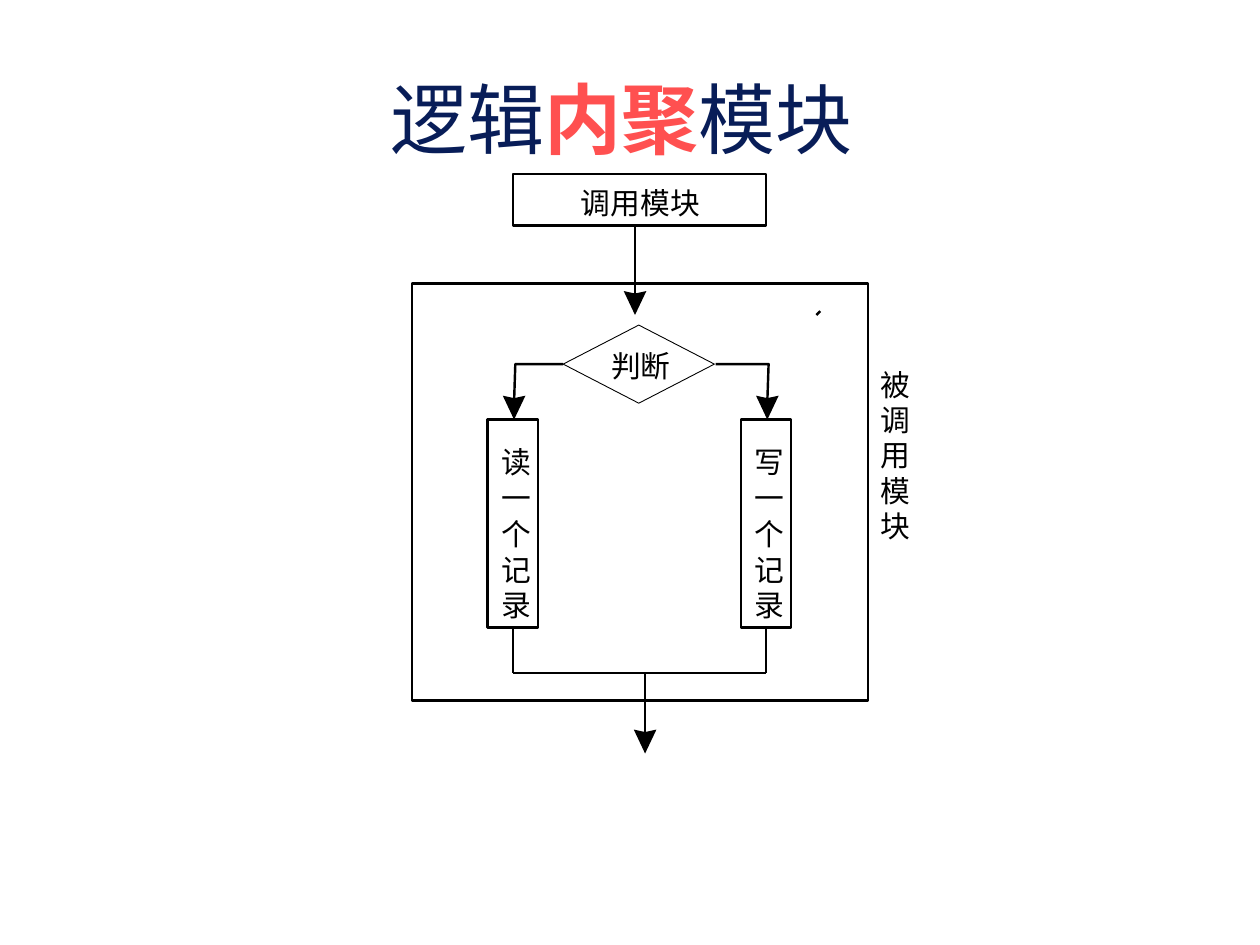
import pptx
import pptx.util
import pptx.dml.color
import pptx.enum.shapes
import pptx.enum.text
import pptx.oxml.ns
import lxml.etree

Pt = pptx.util.Pt
KIND = pptx.enum.shapes.MSO_SHAPE
FONT = "Noto Sans CJK SC"
HUES = {
    name: pptx.dml.color.RGBColor.from_string(code)
    for name, code in {
        "ink": "000000", "paper": "FFFFFF", "navy": "081D58", "red": "FF5050",
    }.items()
}

deck = pptx.Presentation()
deck.slide_width = pptx.util.Inches(10)
deck.slide_height = pptx.util.Inches(7.5)
slide = deck.slides.add_slide(deck.slide_layouts[6])
shapes = slide.shapes
unit = deck.slide_width // 10  # square grid, 10 columns by 7.5 rows


def grid(*nums):
    return [round(n * unit) for n in nums]


def write(place, runs, size, pitch=None, centre=False):
    box = shapes.add_textbox(*grid(*place))
    frame = box.text_frame
    frame.word_wrap = True
    frame.margin_left = frame.margin_right = 0
    frame.margin_top = frame.margin_bottom = 0
    para = frame.paragraphs[0]
    if centre:
        frame.vertical_anchor = pptx.enum.text.MSO_ANCHOR.MIDDLE
        para.alignment = pptx.enum.text.PP_ALIGN.CENTER
    if pitch:
        para.line_spacing = Pt(pitch)
    for text, hue, bold in runs:
        run = para.add_run()
        run.text = text
        run.font.size = Pt(size)
        run.font.bold = bold
        run.font.name = FONT
        east = lxml.etree.SubElement(run.font._element, pptx.oxml.ns.qn("a:ea"))
        east.set("typeface", FONT)
        run.font.color.rgb = HUES[hue]


# Title
write((0.75, 0.31, 8.5, 1.25),
      [("逻辑", "navy", False), ("内聚", "red", True), ("模块 ", "navy", False)],
      44, centre=True)

# Boxes, the choice and the frame of the called module
parts = {}
for name, kind, place, fill, width in [
    ("choice", KIND.DIAMOND, (4.47, 2.58, 1.2, 0.62), False, 0.5),
    ("caller", KIND.RECTANGLE, (4.07, 1.38, 2.01, 0.41), True, 1.39),
    ("read", KIND.RECTANGLE, (3.87, 3.33, 0.4, 1.65), True, 1.39),
    ("write", KIND.RECTANGLE, (5.88, 3.33, 0.4, 1.65), True, 1.39),
    ("called", KIND.RECTANGLE, (3.27, 2.25, 3.62, 3.31), False, 1.39),
]:
    part = shapes.add_shape(kind, *grid(*place))
    part.shadow.inherit = False
    if fill:
        part.fill.solid()
        part.fill.fore_color.rgb = HUES["paper"]
    else:
        part.fill.background()
    part.line.color.rgb = HUES["ink"]
    part.line.width = Pt(width)
    parts[name] = part

# Labels across
write((4.85, 2.76, 0.5, 0.28), [("判断", "ink", False)], 17)
write((4.61, 1.47, 1, 0.28), [("调用模块", "ink", False)], 17)

# Labels down: one character wide, so that each wraps to its own line
for text, left, top, pitch in [
    ("读一个记录", 3.98, 3.52, 20.5),
    ("写一个记录", 5.99, 3.52, 20.5),
    ("被调用模块", 6.99, 2.91, 20.2),
]:
    write((left, top, 0.26, 1.45), [(text, "ink", False)], 17, pitch)

# Straight lines; a name marks the box whose bottom side the line leaves
for name, x1, y1, x2, y2 in [
    (None, 5.04, 1.79, 5.04, 2.36),
    (None, 6.48, 2.5, 6.51, 2.47),
    ("read", 4.07, 4.98, 4.07, 5.34),
    ("write", 6.08, 4.98, 6.08, 5.34),
    (None, 4.07, 5.34, 6.08, 5.34),
    (None, 5.12, 5.34, 5.12, 5.83),
]:
    line = shapes.add_connector(
        pptx.enum.shapes.MSO_CONNECTOR.STRAIGHT, *grid(x1, y1, x2, y2))
    if name:
        line.begin_connect(parts[name], 2)
    line.line.color.rgb = HUES["ink"]
    line.line.width = Pt(1.39)
    lxml.etree.SubElement(line._element.spPr, pptx.oxml.ns.qn("a:effectLst"))

# Bent arms from the choice, then notched arrowheads given by their tips
arms = [
    [(4.47, 2.89), (4.09, 2.89), (4.08, 3.19)],
    [(5.68, 2.89), (6.1, 2.89), (6.09, 3.19)],
]
heads = [
    [(x, y), (x - 0.09, y - 0.19), (x, y - 0.17), (x + 0.09, y - 0.19)]
    for x, y in [(4.08, 3.33), (6.09, 3.33), (5.04, 2.5), (5.12, 5.98)]
]
for points in arms + heads:
    solid = points in heads
    pen = shapes.build_freeform(*grid(*points[0]))
    pen.add_line_segments([grid(*spot) for spot in points[1:]], close=solid)
    shape = pen.convert_to_shape()
    shape.shadow.inherit = False
    if solid:
        shape.fill.solid()
        shape.fill.fore_color.rgb = HUES["ink"]
        shape.line.fill.background()
    else:
        shape.fill.background()
        shape.line.color.rgb = HUES["ink"]
        shape.line.width = Pt(1.39)

deck.save("out.pptx")
